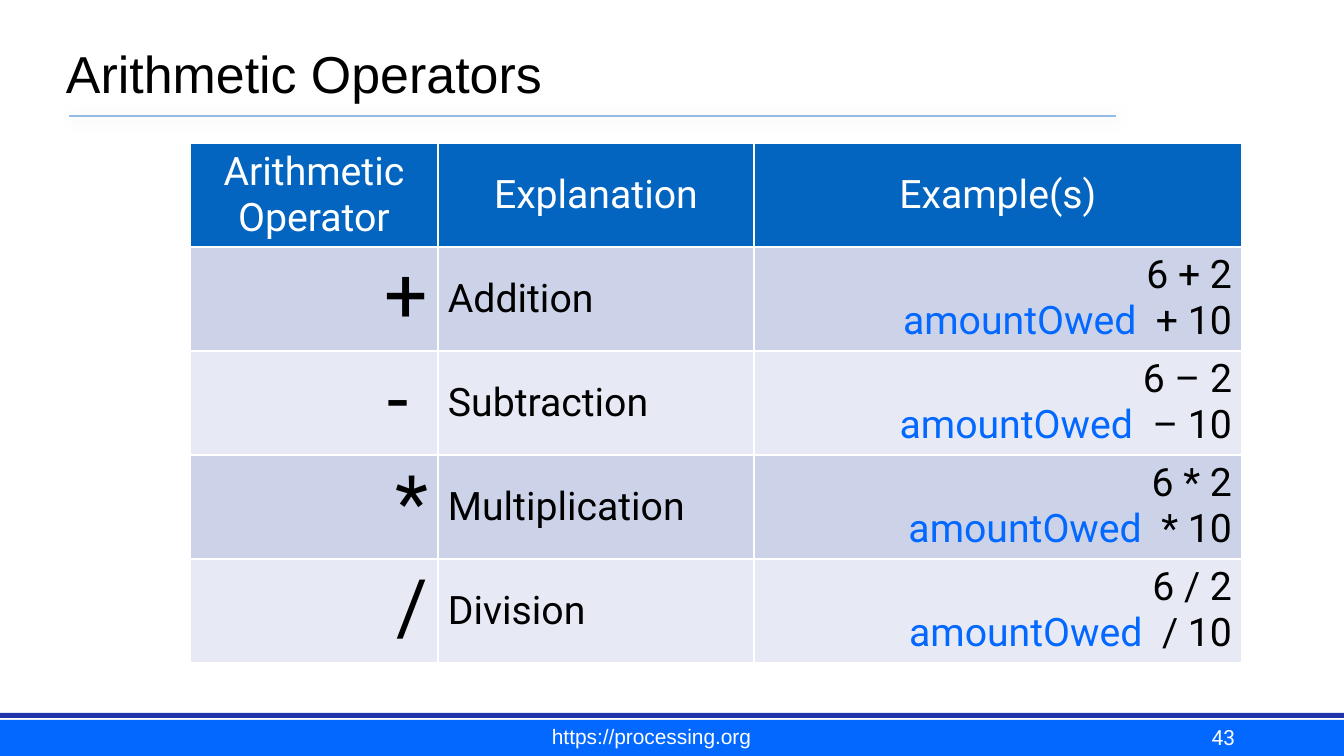
from lxml import etree
from pptx import Presentation
from pptx import util as u
from pptx.dml.color import RGBColor
from pptx.enum import shapes, text
from pptx.oxml import parse_xml
from pptx.oxml.ns import nsdecls, qn

SCALE = 914400 / 134.4
COLORS = {
    "black": "000000", "white": "FFFFFF", "blue": "0368FF", "navy": "1F33AB",
    "rule": "94BBE7", "shade": "003D62", "head": "0365C0",
    "odd": "CCD3E8", "even": "E7EAF4",
}
HEADS = ["Arithmetic Operator", "Explanation", "Example(s)"]
ROWS = [("+", "Addition"), ("- ", "Subtraction"),
        ("*", "Multiplication"), ("/", "Division")]
WIDTHS = [248, 316, 488]
ROW = 104
LEFT, MID, RIGHT = text.PP_ALIGN.LEFT, text.PP_ALIGN.CENTER, text.PP_ALIGN.RIGHT
TOP, CENTER, LOW = (text.MSO_ANCHOR.TOP, text.MSO_ANCHOR.MIDDLE,
                    text.MSO_ANCHOR.BOTTOM)


def px(n):
    return u.Emu(round(n * SCALE))


def color(name):
    return RGBColor.from_string(COLORS[name])


def write(frame, lines, size=21, font="Roboto", ink="black", align=LEFT):
    frame.word_wrap = True
    for i, line in enumerate(lines):
        para = frame.add_paragraph() if i else frame.paragraphs[0]
        para.alignment = align
        for part in line:
            words, tint = part if isinstance(part, tuple) else (part, ink)
            run = para.add_run()
            run.text = words
            run.font.size = u.Pt(size)
            run.font.name = font
            run.font.color.rgb = color(tint)


def inset(frame, across, down):
    frame.margin_left = frame.margin_right = px(across)
    frame.margin_top = frame.margin_bottom = px(down)
    frame.vertical_anchor = LOW


def add_title(slide, words):
    title = slide.shapes.title
    title.left, title.top, title.width, title.height = map(px, (58, 0, 1142, 112))
    frame = title.text_frame
    frame.auto_size = text.MSO_AUTO_SIZE.NONE
    inset(frame, 8, 8)
    write(frame, [[words]], size=27.8, font="Arial")


def add_bar(slide, top, height, fill):
    bar = slide.shapes.add_shape(shapes.MSO_SHAPE.RECTANGLE,
                                 0, px(top), px(1344), px(height))
    bar.shadow.inherit = False
    bar.fill.solid()
    bar.fill.fore_color.rgb = color(fill)
    bar.line.fill.background()


def add_rule(slide):
    rule = slide.shapes.add_connector(shapes.MSO_CONNECTOR.STRAIGHT,
                                      px(69), px(116), px(1116), px(116))
    rule.line.color.rgb = color("rule")
    rule.line.width = u.Pt(1)
    rule._element.spPr.append(parse_xml(
        f'<a:effectLst {nsdecls("a")}><a:outerShdw blurRad="101600" dist="12700" '
        f'dir="2700000"><a:srgbClr val="{COLORS["shade"]}"><a:alpha val="20000"/>'
        '</a:srgbClr></a:outerShdw></a:effectLst>'))


def add_label(slide, box, words, across, down, **style):
    label = slide.shapes.add_textbox(*map(px, box))
    inset(label.text_frame, across, down)
    write(label.text_frame, [[words]], size=11.2, ink="white", **style)


def edge(cell):
    props = cell._tc.get_or_add_tcPr()
    for i, side in enumerate(("lnL", "lnR", "lnT", "lnB")):
        line = etree.Element(qn(f"a:{side}"), w=str(u.Pt(1)))
        fill = etree.SubElement(line, qn("a:solidFill"))
        etree.SubElement(fill, qn("a:srgbClr"), val=COLORS["white"])
        props.insert(i, line)


def fill_cell(cell, lines, fill, anchor=CENTER, **style):
    cell.margin_left = cell.margin_right = px(10)
    cell.margin_top = cell.margin_bottom = px(5)
    cell.vertical_anchor = anchor
    cell.fill.solid()
    cell.fill.fore_color.rgb = color(fill)
    edge(cell)
    write(cell.text_frame, lines, **style)


def add_grid(slide):
    count = len(ROWS) + 1
    grid = slide.shapes.add_table(count, len(WIDTHS), px(190), px(143),
                                  px(sum(WIDTHS)), px(ROW * count)).table
    grid.horz_banding = False
    for col, width in zip(grid.columns, WIDTHS):
        col.width = px(width)
    for row in grid.rows:
        row.height = px(ROW)
    for i, head in enumerate(HEADS):
        fill_cell(grid.cell(0, i), [[head]], "head", ink="white", align=MID)
    for i, (sign, name) in enumerate(ROWS, 1):
        fill = "odd" if i % 2 else "even"
        mark = sign.strip().replace("-", "–")
        sums = [[f"6 {mark} 2"], [("amountOwed ", "blue"), f" {mark} 10"]]
        fill_cell(grid.cell(i, 0), [[sign]], fill, TOP, size=41, align=RIGHT)
        fill_cell(grid.cell(i, 1), [[name]], fill)
        fill_cell(grid.cell(i, 2), sums, fill, TOP, align=RIGHT)


def main():
    deck = Presentation()
    deck.slide_width, deck.slide_height = px(1344), px(756)
    slide = deck.slides.add_slide(deck.slide_layouts[5])
    add_bar(slide, 720, 36, "blue")
    add_bar(slide, 713, 5, "navy")
    add_rule(slide)
    add_title(slide, "Arithmetic Operators")
    add_grid(slide)
    add_label(slide, (473, 719, 357, 35), "https://processing.org", 10, 5,
              font="Arial", align=MID)
    add_label(slide, (964, 717, 279, 41), "43", 8, 8, align=RIGHT)
    deck.save("out.pptx")


if __name__ == "__main__":
    main()
